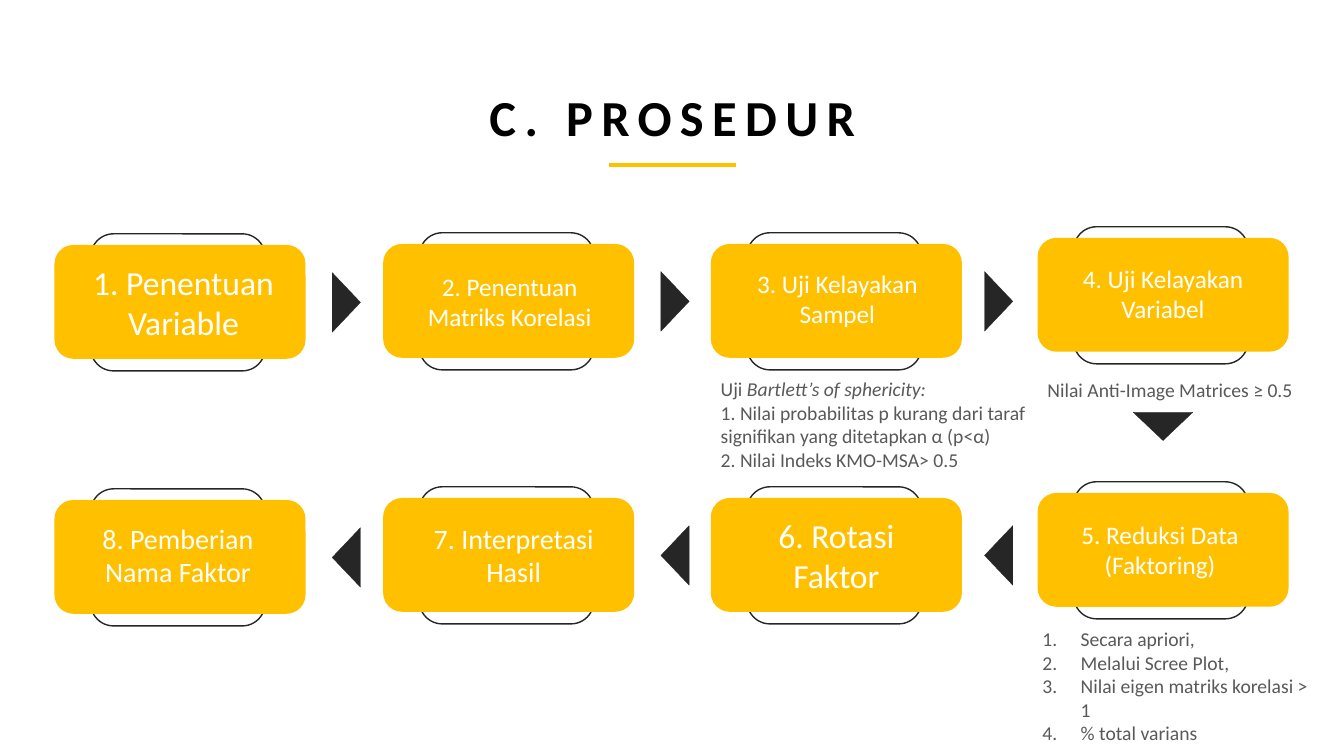
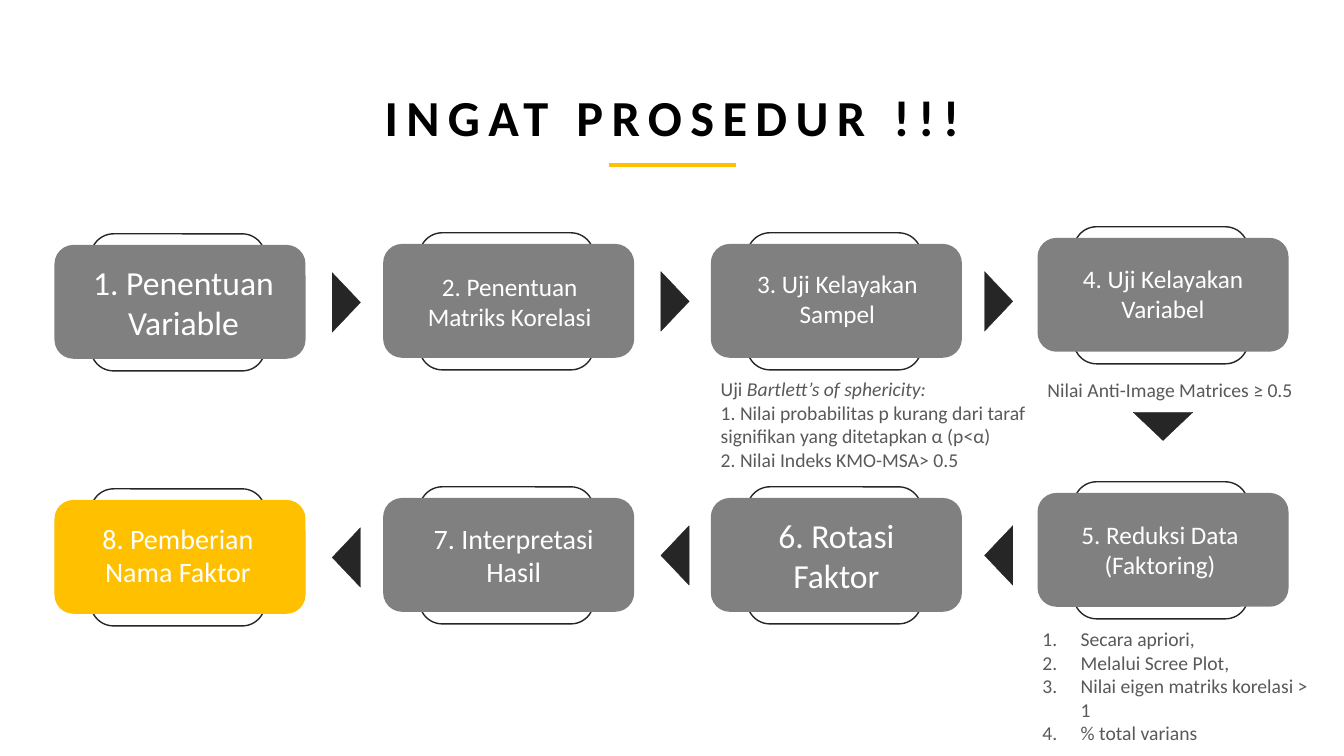
from pptx import Presentation
from pptx.dml.color import RGBColor
from pptx.enum.shapes import MSO_CONNECTOR, MSO_SHAPE
from pptx.enum.text import MSO_AUTO_SIZE, PP_ALIGN
from pptx.oxml.ns import qn
from pptx.util import Inches, Pt
from lxml import etree

LEFT, CENTER = PP_ALIGN.LEFT, PP_ALIGN.CENTER
ROUNDED, TRIANGLE = MSO_SHAPE.ROUNDED_RECTANGLE, MSO_SHAPE.ISOSCELES_TRIANGLE
STRAIGHT = MSO_CONNECTOR.STRAIGHT
GROW = MSO_AUTO_SIZE.SHAPE_TO_FIT_TEXT

THEME = {
    "font": "Calibri",
    "accent": RGBColor(0xFF, 0xC0, 0x00),
    "muted": RGBColor(0x80, 0x80, 0x80),
    "dark": RGBColor(0x26, 0x26, 0x26),
    "title": {"size": Pt(36), "bold": True, "color": RGBColor(0, 0, 0)},
    "label": {"color": RGBColor(0xFF, 0xFF, 0xFF)},
    "note": {"size": Pt(14), "color": RGBColor(0x59, 0x59, 0x59)},
}
TITLE_BOX = (2.77, 0.81, 7.8, 0.71)  # wide enough for one line
TITLE_SPACING = "600"  # hundredths of a point

CARD_W, CARD_H = 2.49, 1.13
FRAME_W, FRAME_H = 1.73, 1.36
FRAME_DX, FRAME_DY = 0.36, -0.11
ARROW_W, ARROW_H = 0.59, 0.28
LABEL_HEIGHTS = {18: 0.71, 20: 0.77, 24: 0.91}

# text, type size, card left and top, label left, top and width
STEPS = [
    ("1. Penentuan Variable", 24, 0.54, 2.43, 0.79, 2.55, 2.06),
    ("2. Penentuan Matriks Korelasi", 18, 3.8, 2.42, 4.09, 2.64, 1.93),
    ("3. Uji Kelayakan Sampel", 18, 7.05, 2.42, 7.28, 2.61, 2.05),
    ("4. Uji Kelayakan Variabel", 18, 10.29, 2.36, 10.51, 2.56, 2.05),
    ("5. Reduksi Data (Faktoring)", 18, 10.29, 4.89, 10.48, 5.1, 2.05),
    ("6. Rotasi Faktor", 24, 7.05, 4.94, 7.35, 5.06, 1.89),
    ("7. Interpretasi Hasil", 20, 3.8, 4.94, 4.06, 5.12, 2.07),
    ("8. Pemberian Nama Faktor", 20, 0.54, 4.96, 0.82, 5.12, 1.89),
]

# left, top, rotation
ARROWS = [
    (3.14, 2.86, 90), (6.4, 2.85, 90), (9.61, 2.85, 90),
    (11.24, 4.09, 180),
    (9.61, 5.37, 270), (6.4, 5.37, 270), (3.14, 5.39, 270),
]

# box, paragraphs made of (text, italic) runs, numbered
NOTES = [
    ((7.05, 3.69, 3.3, 1.04), [
        [("Uji ", False), ("Bartlett’s of sphericity:", True)],
        [("1. Nilai probabilitas p kurang dari taraf signifikan "
          "yang ditetapkan α (p<α)", False)],
        [("2. Nilai Indeks KMO-MSA> 0.5", False)],
    ], False),
    ((10.29, 3.7, 2.69, 0.34),
     [[("Nilai Anti-Image Matrices ≥ 0.5", False)]], False),
    ((10.24, 6.17, 2.96, 1.04), [
        [("Secara apriori,", False)],
        [("Melalui Scree Plot,", False)],
        [("Nilai eigen matriks korelasi > 1", False)],
        [("% total varians", False)],
    ], True),
]

# title, numbers of the highlighted steps
SLIDES = [
    ("C. PROSEDUR", range(1, 9)),
    ("INGAT PROSEDUR !!!", [8]),
]


def add_block(shapes, kind, box, fill=None, line_width=None):
    """Add a preset shape; without a fill or a line width it has none."""
    sp = shapes.add_shape(kind, *map(Inches, box))
    sp.shadow.inherit = False
    if fill is None:
        sp.fill.background()
    else:
        sp.fill.solid()
        sp.fill.fore_color.rgb = fill
    if line_width is None:
        sp.line.fill.background()
    else:
        sp.line.color.rgb = THEME["dark"]
        sp.line.width = Pt(line_width)
    return sp


def add_text(shapes, box, paragraphs, style, align=LEFT):
    """Add a wrapping text box from paragraphs of (text, italic) runs."""
    tf = shapes.add_textbox(*map(Inches, box)).text_frame
    tf.word_wrap = True
    tf.auto_size = GROW
    for i, runs in enumerate(paragraphs):
        p = tf.add_paragraph() if i else tf.paragraphs[0]
        p.alignment = align
        for text, italic in runs:
            r = p.add_run()
            r.text = text
            r.font.name = THEME["font"]
            r.font.italic = italic
            for name, value in style.items():
                if name == "color":
                    r.font.color.rgb = value
                else:
                    setattr(r.font, name, value)
    return tf


prs = Presentation()
prs.slide_width, prs.slide_height = Inches(13.33), Inches(7.5)

for title, highlighted in SLIDES:
    s = prs.slides.add_slide(prs.slide_layouts[6])

    tf = add_text(s.shapes, TITLE_BOX, [[(title, False)]],
                  THEME["title"], CENTER)
    tf.paragraphs[0].runs[0].font._element.set("spc", TITLE_SPACING)

    rule = s.shapes.add_connector(STRAIGHT, Inches(6.04), Inches(1.64),
                                  Inches(7.3), Inches(1.64))
    rule.line.color.rgb = THEME["accent"]
    rule.line.width = Pt(3)
    etree.SubElement(rule._element.spPr, qn("a:effectLst"))

    for x, y, rotation in ARROWS:
        arrow = add_block(s.shapes, TRIANGLE, (x, y, ARROW_W, ARROW_H),
                          THEME["dark"], 0.25)
        arrow.rotation = rotation

    for number, (text, size, x, y, *label) in enumerate(STEPS, 1):
        fill = THEME["accent" if number in highlighted else "muted"]
        step = s.shapes.add_group_shape().shapes
        add_block(step, ROUNDED,
                  (x + FRAME_DX, y + FRAME_DY, FRAME_W, FRAME_H),
                  line_width=1)
        add_block(step, ROUNDED, (x, y, CARD_W, CARD_H), fill)
        add_text(step, (*label, LABEL_HEIGHTS[size]), [[(text, False)]],
                 {**THEME["label"], "size": Pt(size)}, CENTER)

    for box, paragraphs, numbered in NOTES:
        tf = add_text(s.shapes, box, paragraphs, THEME["note"])
        if numbered:
            for p in tf.paragraphs:
                pPr = p._p.get_or_add_pPr()
                pPr.set("marL", str(Inches(0.38)))
                pPr.set("indent", str(-Inches(0.38)))
                etree.SubElement(pPr, qn("a:buAutoNum"), type="arabicPeriod")

prs.save("out.pptx")
